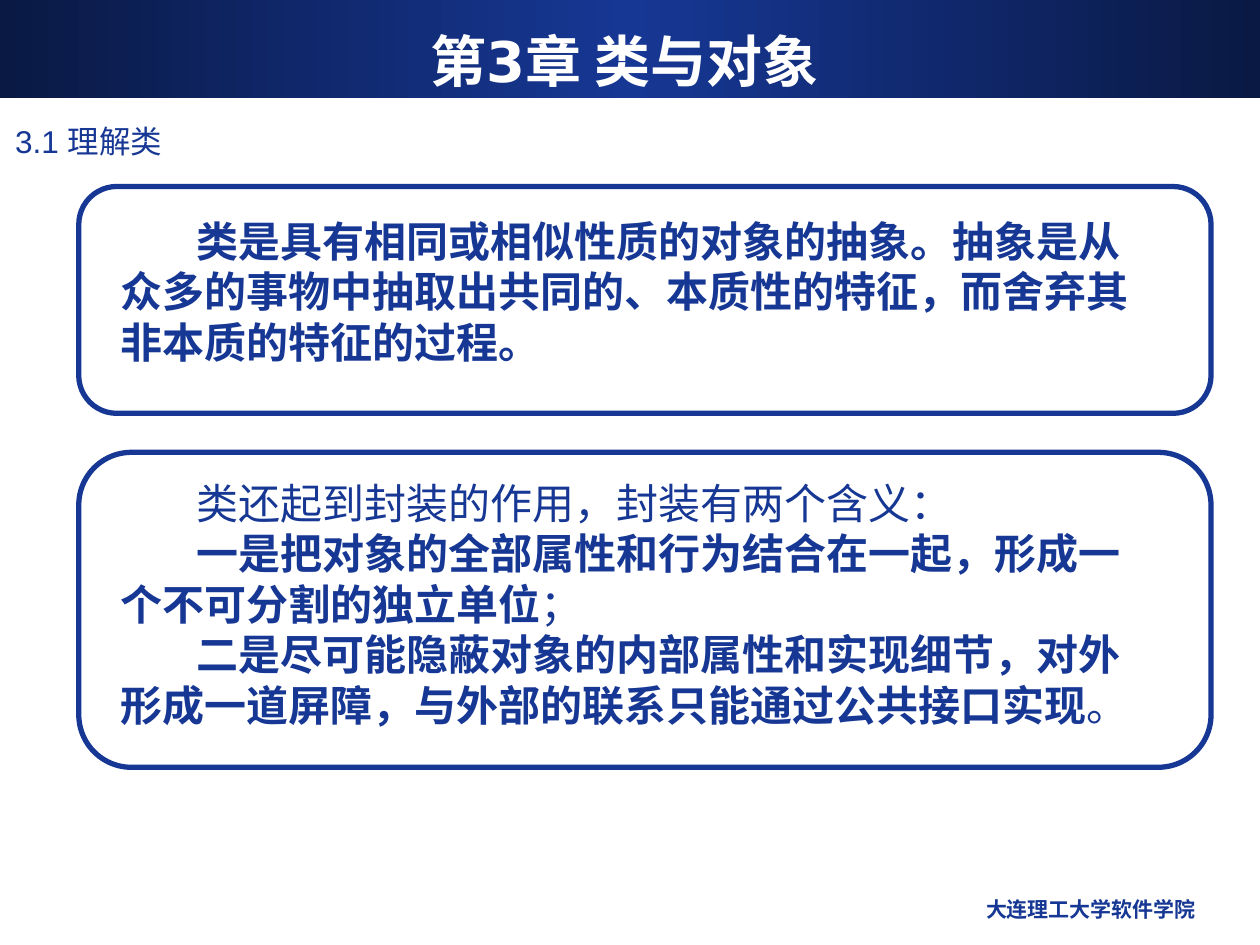
from copy import deepcopy

from pptx import Presentation
from pptx.dml.color import RGBColor
from pptx.enum.shapes import MSO_SHAPE
from pptx.enum.text import MSO_ANCHOR, PP_ALIGN
from pptx.util import Pt

RECT, ROUND = MSO_SHAPE.RECTANGLE, MSO_SHAPE.ROUNDED_RECTANGLE
LEFT, CENTER, RIGHT = PP_ALIGN.LEFT, PP_ALIGN.CENTER, PP_ALIGN.RIGHT
TOP, MIDDLE = MSO_ANCHOR.TOP, MSO_ANCHOR.MIDDLE
COLORS = {"blue": "163794", "navy": "0A1944", "white": "FFFFFF"}


def color(name):
    return RGBColor.from_string(COLORS[name])


def add_text(shapes, box, paragraphs, fmt, ink="blue", align=LEFT, anchor=TOP, indent=0):
    tf = shapes.add_textbox(*map(Pt, box)).text_frame
    tf.word_wrap = True
    tf.vertical_anchor = anchor
    for i, runs in enumerate(paragraphs):
        p = tf.paragraphs[0] if i == 0 else tf.add_paragraph()
        p.alignment = align
        if indent:
            p._p.get_or_add_pPr().set("indent", str(Pt(indent)))
        for text, bold in runs:
            r = p.add_run()
            r.text = text
            for key, value in {**fmt, "bold": bold}.items():
                setattr(r.font, key, value)
            r.font.color.rgb = color(ink)


prs = Presentation()
prs.slide_width, prs.slide_height = Pt(720), Pt(540)
s = prs.slides.add_slide(prs.slide_layouts[6])

banner = s.shapes.add_shape(RECT, 0, 0, Pt(720), Pt(56))
banner.shadow.inherit = False
banner.line.fill.background()
banner.fill.gradient()
banner.fill.gradient_angle = 0
first = banner.fill.gradient_stops[0]._gs
first.addnext(deepcopy(first))
for stop, (position, name) in zip(banner.fill.gradient_stops, [(0, "navy"), (0.5, "blue"), (1, "navy")]):
    stop.position = position
    stop.color.rgb = color(name)

add_text(s.shapes, (462, 509, 228.5, 25), [[("大连理工大学软件学院", True)]],
         {"name": "DejaVu Sans", "size": Pt(12)}, align=RIGHT)
add_text(s.shapes, (1.5, 66.3, 666, 29.5), [[("3.1 理解类", False)]],
         {"name": "Arial", "size": Pt(18)})
add_text(s.shapes, (23.8, 12.3, 666, 44.6), [[("第3章 类与对象", True)]],
         {"name": "DejaVu Sans", "size": Pt(32)}, "white", CENTER, MIDDLE)

panels = [
    (106.6, 129.6, 119.5, 93.6, [
        [("类是具有相同或相似性质的对象的抽象。抽象是从众多的事物中抽取出共同的、本质性的特征，而舍弃其非本质的特征的过程。", True)],
    ]),
    (258.5, 180, 269.3, 151.2, [
        [("类还起到封装的作用，封装有两个含义：", False)],
        [("一是把对象的全部属性和行为结合在一起，形成一个不可分割的独立单位", True), ("；", False)],
        [("二是尽可能隐蔽对象的内部属性和实现细节，对外形成一道屏障，与外部的联系只能通过公共接口实现", True), ("。", False)],
    ]),
]
for top, height, text_top, text_height, paragraphs in panels:
    group = s.shapes.add_group_shape()
    sp = group.shapes.add_shape(ROUND, Pt(45), Pt(top), Pt(647), Pt(height))
    sp.adjustments[0] = 0.167
    sp.shadow.inherit = False
    sp.fill.background()
    sp.line.color.rgb = color("blue")
    sp.line.width = Pt(3)
    add_text(group.shapes, (62, text_top, 602, text_height), paragraphs,
             {"name": "Arial", "size": Pt(24)}, indent=43)

prs.save("out.pptx")
